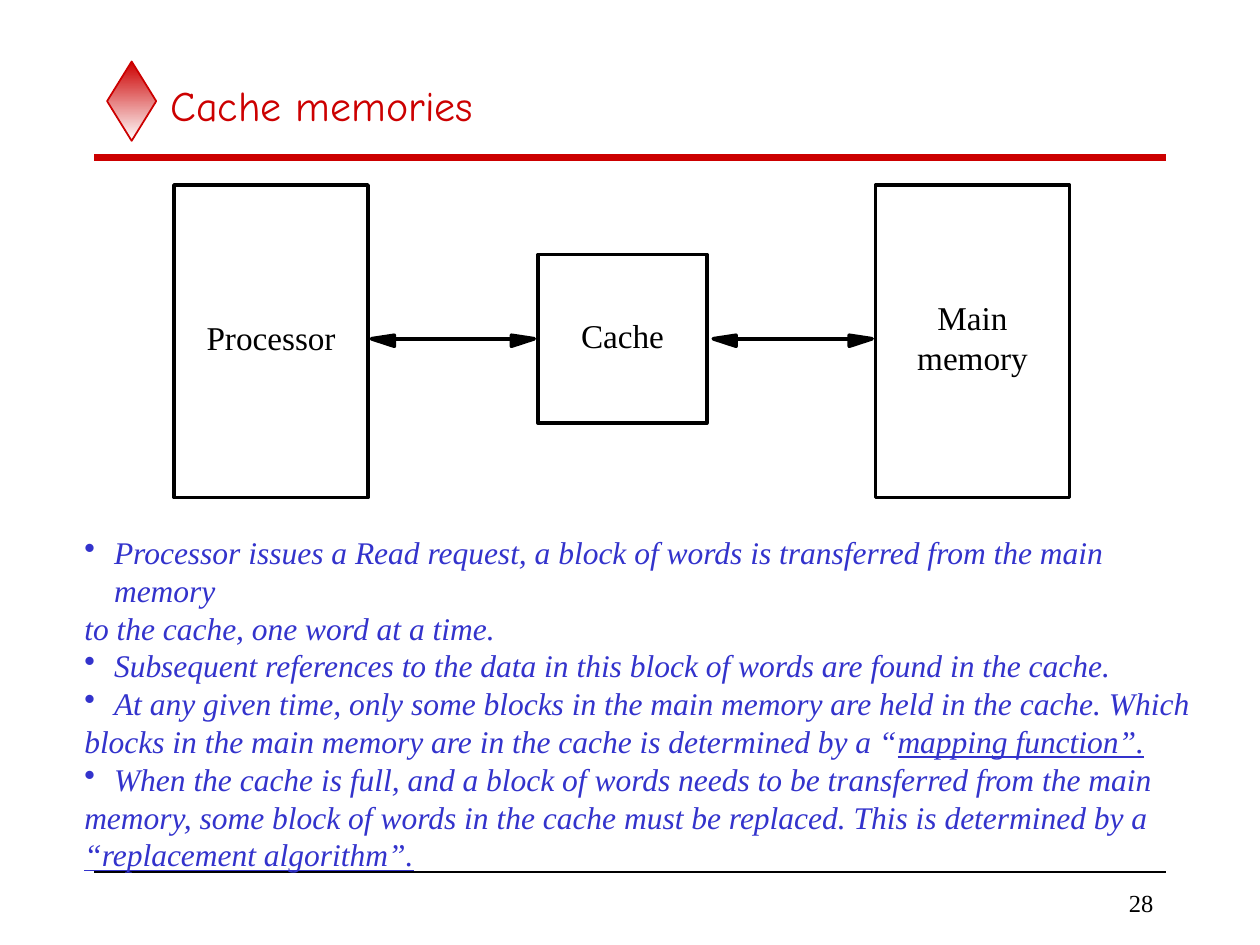
from lxml.etree import SubElement
from pptx import Presentation
from pptx.dml.color import RGBColor
from pptx.enum.shapes import MSO_CONNECTOR as Link, MSO_SHAPE as Shape
from pptx.enum.text import MSO_ANCHOR as Anchor, MSO_AUTO_SIZE as AutoSize, PP_ALIGN as Align
from pptx.oxml.ns import qn
from pptx.util import Cm, Pt

COLORS = {"red": "CC0000", "blue": "3333CC", "black": "000000", "white": "FFFFFF"}
SERIF, HAND = "Times New Roman", "Comic Neue"
STROKE = 2.13


def rgb(name):
    return RGBColor.from_string(COLORS[name])


class Painter:
    """Holds the current page and draws each kind of element in its style."""

    def __init__(self, page):
        self.page = page

    def font(self, para, size, color="black", name=SERIF, italic=False):
        font = para.font
        font.name, font.size, font.italic = name, Pt(size), italic
        font.color.rgb = rgb(color)

    def outline(self, item, color, width):
        item.line.color.rgb = rgb(color)
        item.line.width = Pt(width)

    def title(self, text, left, top, width, height):
        box = self.page.shapes.title
        box.left, box.top, box.width, box.height = map(Cm, (left, top, width, height))
        frame = box.text_frame
        frame.text = text
        frame.auto_size, frame.vertical_anchor = AutoSize.NONE, Anchor.MIDDLE
        para = frame.paragraphs[0]
        para.alignment = Align.LEFT
        self.font(para, 24, "red", HAND)

    def line(self, x1, x2, y, color="black", width=STROKE):
        line = self.page.shapes.add_connector(Link.STRAIGHT, Cm(x1), Cm(y), Cm(x2), Cm(y))
        self.outline(line, color, width)
        SubElement(line._element.spPr, qn("a:effectLst"))

    def diamond(self, left, top, width, height):
        shape = self.page.shapes.add_shape(Shape.DIAMOND, Cm(left), Cm(top), Cm(width), Cm(height))
        shape.shadow.inherit = False
        shape.fill.gradient()
        shape.fill.gradient_angle = 270
        for stop, color in zip(shape.fill.gradient_stops, ("red", "white")):
            stop.color.rgb = rgb(color)
        self.outline(shape, "red", 1)

    def block(self, label, left, top, width, height):
        box = self.page.shapes.add_shape(Shape.RECTANGLE, Cm(left), Cm(top), Cm(width), Cm(height))
        box.shadow.inherit = False
        box.fill.background()
        self.outline(box, "black", STROKE)
        frame = box.text_frame
        frame.vertical_anchor = Anchor.MIDDLE
        frame.margin_top, frame.margin_bottom = 0, Cm(0.15)
        frame.text = label
        for para in frame.paragraphs:
            para.alignment = Align.CENTER
            self.font(para, 19)

    def arrow_head(self, base, tip, y):
        corners = [(tip, y), (base, y + 0.15), (base, y - 0.07)]
        builder = self.page.shapes.build_freeform(Cm(base), Cm(y - 0.07))
        builder.add_line_segments([(Cm(px), Cm(py)) for px, py in corners])
        head = builder.convert_to_shape()
        head.shadow.inherit = False
        head.fill.solid()
        head.fill.fore_color.rgb = rgb("black")
        self.outline(head, "black", STROKE)

    def double_arrow(self, left, right, y, head=0.46):
        self.line(left + head, right - head, y)
        self.arrow_head(left + head, left, y)
        self.arrow_head(right - head, right, y)

    def text_box(self, left, top, width, height):
        box = self.page.shapes.add_textbox(Cm(left), Cm(top), Cm(width), Cm(height))
        box.text_frame.word_wrap = True
        return box.text_frame

    def page_number(self, text, *place):
        frame = self.text_box(*place)
        frame.vertical_anchor = Anchor.MIDDLE
        frame.text = text
        para = frame.paragraphs[0]
        para.alignment = Align.RIGHT
        self.font(para, 14)

    def bullet(self, para):
        props = para._p.get_or_add_pPr()
        props.set("marL", str(Cm(0.6)))
        props.set("indent", str(Cm(-0.6)))
        SubElement(props, qn("a:buChar")).set("char", "•")

    def bullet_list(self, lines, *place):
        frame = self.text_box(*place)
        for index, (bulleted, plain, underlined) in enumerate(lines):
            para = frame.add_paragraph() if index else frame.paragraphs[0]
            if bulleted:
                self.bullet(para)
            self.font(para, 18, "blue", italic=True)
            if plain:
                para.add_run().text = plain
            if underlined:
                span = para.add_run()
                span.text = underlined
                span.font.underline = True


# Each line: bulleted, plain text, underlined text
LINES = [
    (True, "Processor issues a Read request, a block of words is transferred from the main memory", ""),
    (False, "to the cache, one word at a time.", ""),
    (True, "Subsequent references to the data in this block of words are found in the cache.", ""),
    (True, "At any given time, only some blocks in the main memory are held in the cache. Which", ""),
    (False, "blocks in the main memory are in the cache is determined by a “", "mapping function”."),
    (True, "When the cache is full, and a block of words needs to be transferred from the main", ""),
    (False, "memory, some block of words in the cache must be replaced. This is determined by a", ""),
    (False, "", "“replacement algorithm”."),
]


def main():
    deck = Presentation()
    deck.slide_width, deck.slide_height = Cm(25.4), Cm(19.05)
    painter = Painter(deck.slides.add_slide(deck.slide_layouts[5]))

    # Heading and page frame
    painter.diamond(2.16, 1.24, 0.99, 1.6)
    painter.line(1.9, 23.5, 3.18, "red", 4)
    painter.line(1.9, 23.5, 17.58, width=1)
    painter.title("Cache memories", 3.18, 1.27, 20.32, 1.7)
    painter.page_number("28", 19.89, 17.78, 3.61, 0.84)

    # Memory hierarchy diagram
    painter.double_arrow(7.49, 10.77, 6.83)
    painter.double_arrow(14.38, 17.58, 6.83)
    painter.block("Processor", 3.51, 3.73, 3.91, 6.3)
    painter.block("Cache", 10.85, 5.13, 3.4, 3.4)
    painter.block("Main\nmemory", 17.65, 3.73, 3.91, 6.3)

    # Explanation
    painter.bullet_list(LINES, 1.45, 10.62, 23.16, 6.35)

    deck.save("out.pptx")


if __name__ == "__main__":
    main()
